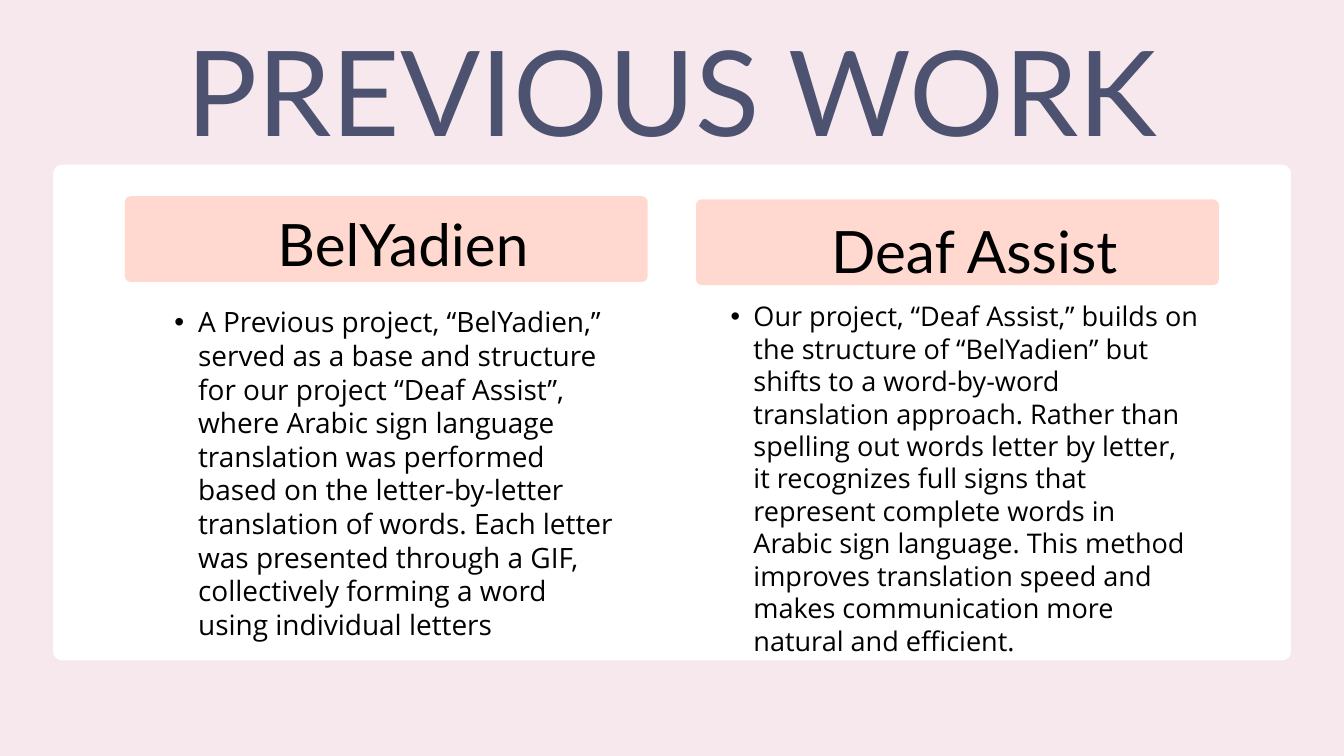
from lxml import etree
from pptx import Presentation
from pptx.dml.color import RGBColor
from pptx.enum.shapes import MSO_SHAPE
from pptx.enum.text import MSO_ANCHOR, PP_ALIGN
from pptx.oxml.ns import qn
from pptx.util import Cm, Pt

ROUNDED = MSO_SHAPE.ROUNDED_RECTANGLE
CENTER, LEFT = PP_ALIGN.CENTER, PP_ALIGN.LEFT
TOP, MIDDLE = MSO_ANCHOR.TOP, MSO_ANCHOR.MIDDLE

COLORS = {
    "background": "F6E8EC",
    "panel": "FFFFFF",
    "heading": "FFD9CF",
    "title": "4C5270",
    "text": "000000",
}
HEADING_FONT, BODY_FONT = "Lato", "Open Sans"
HEADING_WIDTH, HEADING_HEIGHT = 19.76, 3.24

PROJECTS = [
    {
        "name": "BelYadien",
        "left": 4.72,
        "band_top": 7.42,
        "name_top": 6.88,
        "summary": "A Previous project, “BelYadien,” served as a base and structure for our "
        "project “Deaf Assist”, where Arabic sign language translation was performed based on "
        "the letter-by-letter translation of words. Each letter was presented through a GIF, "
        "collectively forming a word using individual letters",
        "summary_box": (5.69, 11.53, 17.83, 12.7),
        "size": 30,
        "indent": 1.8,
    },
    {
        "name": "Deaf Assist",
        "left": 26.31,
        "band_top": 7.54,
        "name_top": 7.32,
        "summary": "Our project, “Deaf Assist,” builds on the structure of “BelYadien” but "
        "shifts to a word-by-word translation approach. Rather than spelling out words letter "
        "by letter, it recognizes full signs that represent complete words in Arabic sign "
        "language. This method improves translation speed and makes communication more natural "
        "and efficient.",
        "summary_box": (26.75, 11.33, 18.57, 13.39),
        "size": 29,
        "indent": 1.73,
    },
]


def rgb(role):
    """Return the colour used for a role on the slide."""
    return RGBColor.from_string(COLORS[role])


def add_panel(slide, box, role, radius, border=None):
    """Add a rounded panel with a corner radius in centimetres."""
    panel = slide.shapes.add_shape(ROUNDED, *map(Cm, box))
    panel.adjustments[0] = radius / box[3]
    panel.shadow.inherit = False
    panel.fill.solid()
    panel.fill.fore_color.rgb = rgb(role)
    if border:
        panel.line.color.rgb = rgb(border)
        panel.line.width = Pt(3)
    else:
        panel.line.fill.background()


def add_text(slide, box, text, font, size, spacing, role="text", align=CENTER,
             anchor=TOP, inset=0, level=0, indent=0):
    """Add a one-paragraph text box, bulleted when an indent is given."""
    frame = slide.shapes.add_textbox(*map(Cm, box)).text_frame
    frame.word_wrap = True
    frame.vertical_anchor = anchor
    frame.margin_left = frame.margin_right = Cm(inset)
    frame.margin_top = frame.margin_bottom = Cm(inset)
    paragraph = frame.paragraphs[0]
    paragraph.text = text
    paragraph.alignment = align
    paragraph.level = level
    paragraph.line_spacing = Pt(spacing)
    if indent:
        add_bullet(paragraph, indent)
    paragraph.font.name = font
    paragraph.font.size = Pt(size)
    paragraph.font.color.rgb = rgb(role)


def add_bullet(paragraph, indent):
    """Give a paragraph a round bullet hanging by half its indent."""
    properties = paragraph._p.get_or_add_pPr()
    properties.set("marL", str(Cm(indent)))
    properties.set("indent", str(-Cm(indent / 2)))
    etree.SubElement(properties, qn("a:buFont")).set("typeface", "Arial")
    etree.SubElement(properties, qn("a:buChar")).set("char", "•")


def add_project(slide, project):
    """Add a project's heading band, name and bulleted summary."""
    left, name_top = project["left"], project["name_top"]
    band_bottom = project["band_top"] + HEADING_HEIGHT
    add_panel(slide, (left, project["band_top"], HEADING_WIDTH, HEADING_HEIGHT),
              "heading", 0.22)
    add_text(slide, (left, name_top, HEADING_WIDTH, band_bottom - name_top),
             project["name"], HEADING_FONT, 62.6, 98.2, anchor=MIDDLE, inset=0.15, level=1)
    add_text(slide, project["summary_box"], project["summary"], BODY_FONT,
             project["size"], project["size"] * 1.2, align=LEFT, level=1,
             indent=project["indent"])


def main():
    """Build and save the slide."""
    presentation = Presentation()
    presentation.slide_width, presentation.slide_height = Cm(50.8), Cm(28.58)
    slide = presentation.slides.add_slide(presentation.slide_layouts[6])
    slide.background.fill.solid()
    slide.background.fill.fore_color.rgb = rgb("background")
    add_panel(slide, (1.96, 6.17, 46.89, 18.85), "panel", 0.38, border="background")
    add_text(slide, (1.96, 1.14, 46.89, 5.05), "PREVIOUS WORK", HEADING_FONT, 127, 139.7,
             role="title")
    for project in PROJECTS:
        add_project(slide, project)
    presentation.save("out.pptx")


if __name__ == "__main__":
    main()
